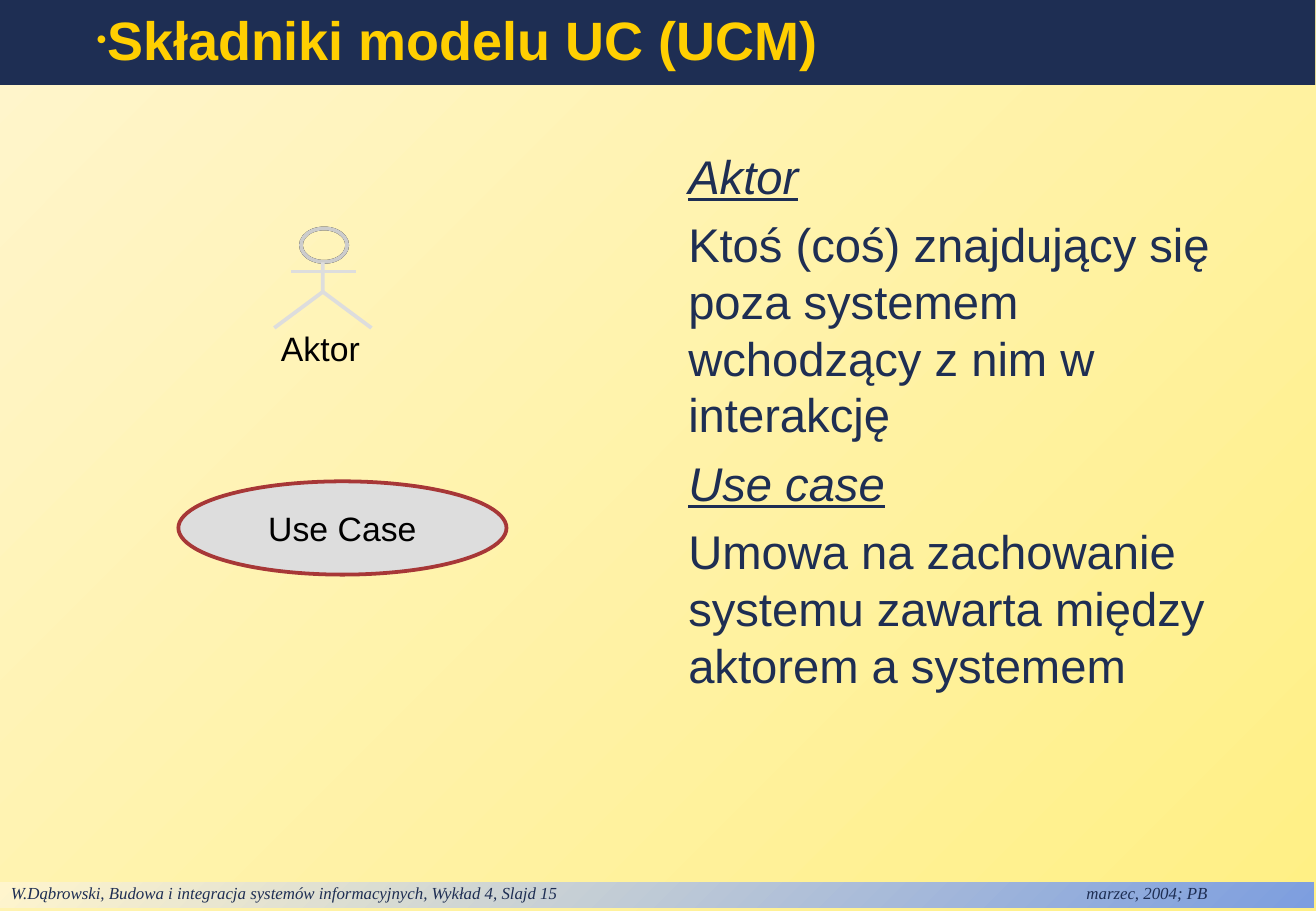
from lxml import etree
from pptx import Presentation
from pptx.dml.color import RGBColor
from pptx.enum import shapes, text
from pptx.oxml import ns
from pptx.util import Pt

NAVY = RGBColor(0x1E, 0x2E, 0x53)
GOLD = RGBColor(0xFF, 0xCF, 0x01)
YELLOW = RGBColor(0xFF, 0xF0, 0x85)
CREAM = RGBColor(0xFF, 0xF5, 0xCD)
BLUE = RGBColor(0x7D, 0x9E, 0xDF)
BLACK = RGBColor(0, 0, 0)
GREY = RGBColor(0xCC, 0xCC, 0xCC)
LIGHT_GREY = RGBColor(0xDD, 0xDD, 0xDD)
RED = RGBColor(0xA7, 0x37, 0x37)

WIDTH, HEIGHT = 780.48, 540
FOOTER_TABS = (0, 638, 648, 720, 792)


class SlideBuilder:
    line_width = Pt(2.25)

    def __init__(self, slide):
        self.slide = slide
        self.shapes = slide.shapes

    def gradient(self, fill, start, end):
        fill.gradient()
        fill.gradient_angle = 135
        for stop, color in zip(fill.gradient_stops, (start, end)):
            stop.color.rgb = color

    def place(self, shape, left, top, width, height):
        shape.left, shape.top = Pt(left), Pt(top)
        shape.width, shape.height = Pt(width), Pt(height)

    def frame(self, shape, insets, anchor=text.MSO_ANCHOR.TOP, wrap=True):
        frame = shape.text_frame
        frame.auto_size = text.MSO_AUTO_SIZE.NONE
        frame.word_wrap = wrap
        frame.vertical_anchor = anchor
        (frame.margin_left, frame.margin_top,
         frame.margin_right, frame.margin_bottom) = map(Pt, insets)
        return frame

    def indent(self, paragraph, margin, first_line):
        properties = paragraph._p.get_or_add_pPr()
        properties.set("marL", str(int(Pt(margin))))
        properties.set("indent", str(int(Pt(first_line))))

    def element(self, parent, tag, **attributes):
        return etree.SubElement(parent, ns.qn(tag), attributes)

    def bullet(self, paragraph, color, percent, character):
        properties = paragraph._p.get_or_add_pPr()
        bullet_color = self.element(properties, "a:buClr")
        self.element(bullet_color, "a:srgbClr", val=str(color))
        self.element(properties, "a:buSzPct", val=str(percent * 1000))
        self.element(properties, "a:buFont", typeface="Times New Roman")
        self.element(properties, "a:buChar", char=character)

    def tabs(self, paragraph, positions):
        tab_list = self.element(paragraph._p.get_or_add_pPr(), "a:tabLst")
        for position in positions:
            self.element(tab_list, "a:tab", pos=str(int(Pt(position))), algn="l")

    def format(self, paragraph, size, color, font="Arial", bold=False,
               italic=False, underline=False, align=text.PP_ALIGN.LEFT):
        paragraph.alignment = align
        for run in paragraph.runs:
            run.font.name, run.font.size = font, Pt(size)
            run.font.color.rgb = color
            run.font.bold, run.font.italic = bold, italic
            run.font.underline = underline

    def stroke(self, shape, color):
        shape.line.color.rgb = color
        shape.line.width = self.line_width

    def shape(self, kind, left, top, width, height, line=None):
        shape = self.shapes.add_shape(kind, Pt(left), Pt(top), Pt(width), Pt(height))
        shape.shadow.inherit = False
        shape.fill.background()
        if line is None:
            shape.line.fill.background()
        else:
            self.stroke(shape, line)
        return shape

    def connector(self, x1, y1, x2, y2, color):
        line = self.shapes.add_connector(
            shapes.MSO_CONNECTOR.STRAIGHT, Pt(x1), Pt(y1), Pt(x2), Pt(y2))
        self.element(line._element.spPr, "a:effectLst")
        self.stroke(line, color)

    def polyline(self, points, color):
        start, *rest = [(Pt(x), Pt(y)) for x, y in points]
        builder = self.shapes.build_freeform(*start)
        builder.add_line_segments(rest, close=False)
        shape = builder.convert_to_shape()
        shape.shadow.inherit = False
        shape.fill.background()
        self.stroke(shape, color)

    def label(self, frame, words):
        frame.text = words
        self.format(frame.paragraphs[0], 20, BLACK, align=text.PP_ALIGN.CENTER)


def main():
    presentation = Presentation()
    presentation.slide_width, presentation.slide_height = Pt(WIDTH), Pt(HEIGHT)
    slide = presentation.slides.add_slide(presentation.slide_layouts[1])
    builder = SlideBuilder(slide)
    builder.gradient(slide.background.fill, YELLOW, CREAM)

    # Footer band
    footer = builder.shape(shapes.MSO_SHAPE.RECTANGLE, -0.72, 522.9, 780, 15.1)
    builder.gradient(footer.fill, BLUE, CREAM)
    frame = builder.frame(footer, (7.2, 0, 7.2, 2.9), text.MSO_ANCHOR.MIDDLE)
    frame.text = ("W.Dąbrowski, Budowa i integracja systemów informacyjnych, "
                  "Wykład 4, Slajd 15\tmarzec, 2004; PB")
    builder.tabs(frame.paragraphs[0], FOOTER_TABS)
    builder.format(frame.paragraphs[0], 10, NAVY, "Times New Roman", italic=True)

    # Title bar
    title = slide.shapes.title
    builder.place(title, 0, 0, 780, 50.4)
    title.fill.solid()
    title.fill.fore_color.rgb = NAVY
    frame = builder.frame(title, (7.2, 3.6, 7.2, 3.6), text.MSO_ANCHOR.MIDDLE)
    frame.text = "Składniki modelu UC (UCM)"
    builder.indent(frame.paragraphs[0], 20.9, 28.8)
    builder.bullet(frame.paragraphs[0], GOLD, 60, "•")
    frame.paragraphs[0].line_spacing = 0.9
    builder.format(frame.paragraphs[0], 32, GOLD, bold=True)

    # Definitions: each term is followed by its meaning
    body = slide.placeholders[1]
    builder.place(body, 399.6, 82.8, 355.7, 397.4)
    frame = builder.frame(body, (8.6, 4.3, 8.6, 4.3))
    frame.text = "\n".join([
        "Aktor",
        "Ktoś (coś) znajdujący się poza systemem wchodzący z nim w interakcję",
        "Use case",
        "Umowa na zachowanie systemu zawarta między aktorem a systemem"])
    for index, paragraph in enumerate(frame.paragraphs):
        is_term = index % 2 == 0
        builder.indent(paragraph, 0, 0)
        builder.element(paragraph._p.get_or_add_pPr(), "a:buNone")
        paragraph.line_spacing = 1.0
        paragraph.space_before = Pt(7 if index else 0)
        builder.format(paragraph, 28, NAVY, italic=is_term, underline=is_term)

    # Actor figure, grouped with its label
    builder.shapes = slide.shapes.add_group_shape().shapes
    caption = builder.shapes.add_textbox(Pt(137.5), Pt(190.8), Pt(105.1), Pt(31))
    builder.label(builder.frame(caption, (7.2, 3.6, 7.2, 3.6)), "Aktor")
    for color in (BLACK, GREY):
        builder.shape(shapes.MSO_SHAPE.OVAL, 178.5, 135.4, 27.4, 19.8, color)
    middle, hip, feet, stride = 191.5, 173, 194.4, 28.8
    builder.connector(172.8, 160.9, 211, 160.9, LIGHT_GREY)
    builder.polyline([(middle, 155.5), (middle, hip), (middle - stride, feet)], LIGHT_GREY)
    builder.connector(middle, hip, middle + stride, feet, LIGHT_GREY)
    builder.shapes = slide.shapes

    # Use case ellipse
    use_case = builder.shape(shapes.MSO_SHAPE.OVAL, 105.8, 285.3, 194.6, 55.3, RED)
    use_case.fill.solid()
    use_case.fill.fore_color.rgb = LIGHT_GREY
    builder.label(builder.frame(use_case, (8.6, 4.3, 8.6, 4.3),
                                text.MSO_ANCHOR.MIDDLE, wrap=False), "Use Case")

    presentation.save("out.pptx")


if __name__ == "__main__":
    main()
